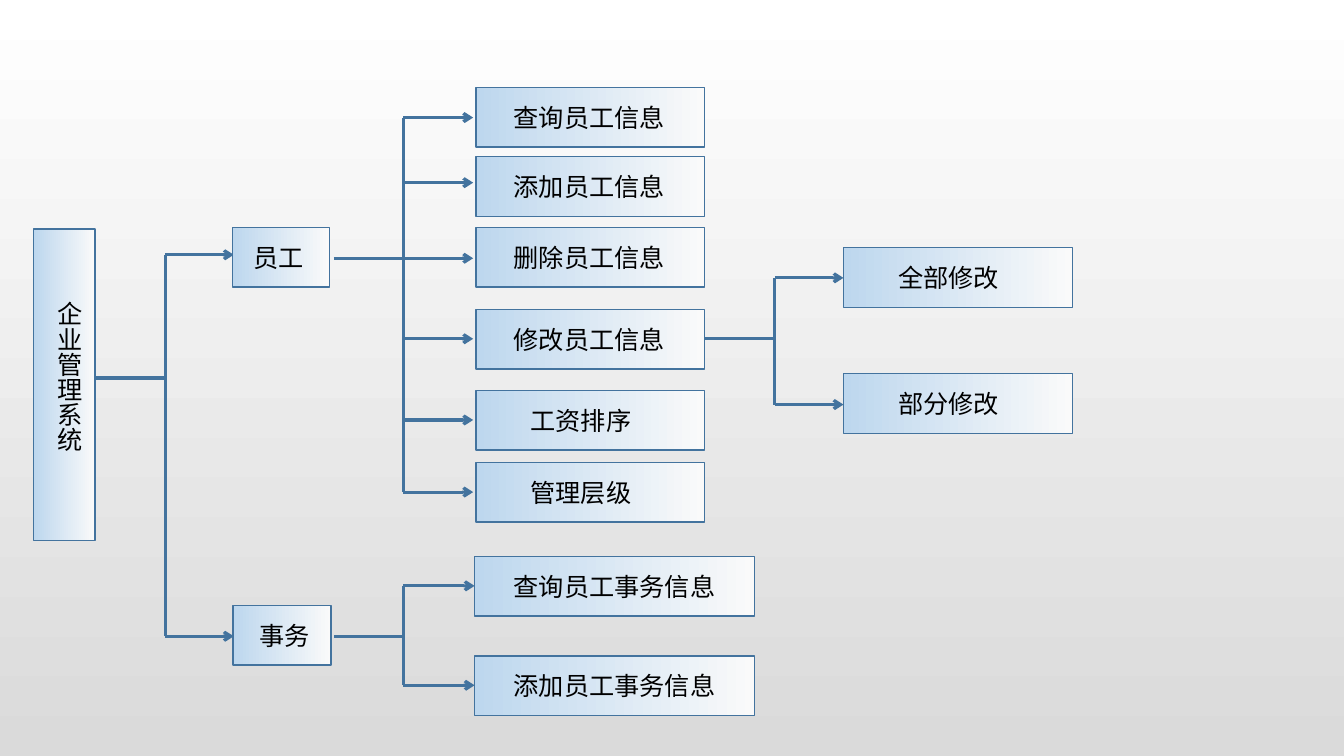
"""Draw the function tree of a staff management system."""
from lxml import etree
from pptx import Presentation
from pptx.dml.color import RGBColor
from pptx.enum.shapes import MSO_CONNECTOR, MSO_SHAPE
from pptx.enum.text import MSO_ANCHOR, PP_ALIGN
from pptx.oxml.ns import qn
from pptx.util import Pt

RECT = MSO_SHAPE.RECTANGLE
STRAIGHT = MSO_CONNECTOR.STRAIGHT
MIDDLE = MSO_ANCHOR.MIDDLE
LEFT = PP_ALIGN.LEFT

WHITE = RGBColor(0xFF, 0xFF, 0xFF)
GREY = RGBColor(0xDA, 0xDA, 0xDA)
BLACK = RGBColor(0, 0, 0)
SKY = RGBColor(0xBD, 0xD7, 0xEE)
PALE = RGBColor(0xFA, 0xFA, 0xFA)
STEEL = RGBColor(0x43, 0x73, 0x9E)

BOX_H = 42.5
LEAF_W = 163.5


class Tree:
    """Hold the style and the current slide."""

    font = "Arial"
    size = 18

    def __init__(self, slide):
        self.slide = slide

    def blend(self, fill, first, last, angle):
        fill.gradient()
        fill.gradient_angle = angle
        for stop, color, place in zip(fill.gradient_stops, (first, last), (0, 1)):
            stop.color.rgb = color
            stop.position = place

    def ground(self):
        self.blend(self.slide.background.fill, WHITE, GREY, 270)

    def box(self, x, y, width, text, indent, height=BOX_H):
        shape = self.slide.shapes.add_shape(RECT, Pt(x), Pt(y), Pt(width), Pt(height))
        shape.shadow.inherit = False
        self.blend(shape.fill, SKY, PALE, 0)
        shape.line.color.rgb = STEEL
        shape.line.width = Pt(1)
        frame = shape.text_frame
        frame.word_wrap = True
        frame.vertical_anchor = MIDDLE
        frame.margin_left = Pt(indent)
        frame.margin_right = frame.margin_top = frame.margin_bottom = 0
        para = frame.paragraphs[0]
        para.alignment = LEFT
        run = para.add_run()
        run.text = text
        run.font.name = self.font
        run.font.size = Pt(self.size)
        run.font.color.rgb = BLACK
        return frame

    def tall(self, x, y, width, height, text, drop, shift):
        frame = self.box(x, y, width, text, shift, height)
        frame.margin_top = Pt(drop)
        frame._txBody.bodyPr.set("vert", "eaVert")

    def line(self, x1, y1, x2, y2, arrow=False):
        link = self.slide.shapes.add_connector(STRAIGHT, Pt(x1), Pt(y1), Pt(x2), Pt(y2))
        link.line.color.rgb = STEEL
        link.line.width = Pt(2.25)
        if arrow:
            etree.SubElement(link.line._get_or_add_ln(), qn("a:tailEnd"), type="arrow")
        etree.SubElement(link._element.spPr, qn("a:effectLst"))

    def fork(self, start, stem, trunk, end, levels):
        self.line(start, stem, trunk, stem)
        self.line(trunk, levels[0], trunk, levels[-1])
        for level in levels:
            self.line(trunk, level, end, level, arrow=True)


deck = Presentation()
deck.slide_width, deck.slide_height = Pt(960), Pt(540)
tree = Tree(deck.slides.add_slide(deck.slide_layouts[6]))
tree.ground()

tree.fork(68, 270, 118, 167, (182, 454.5))
tree.fork(238.5, 184.5, 288, 338, (84, 130.5, 184.5, 242, 300, 351.5))
tree.fork(238.5, 454.5, 288, 339, (418.5, 489.5))
tree.fork(503.5, 242, 553.5, 602.5, (198.5, 289))

tree.tall(24, 163.5, 44, 222.5, "企业管理系统", 52, 7)
tree.box(166, 162.5, 69.5, "员工", 15)
tree.box(166.5, 432.5, 70, "事务", 19)

STAFF = (
    (62.5, "查询员工信息", 27),
    (112, "添加员工信息", 27),
    (162.5, "删除员工信息", 27),
    (221, "修改员工信息", 27),
    (279, "工资排序", 39),
    (330.5, "管理层级", 39),
)
for top, text, indent in STAFF:
    tree.box(340, top, LEAF_W, text, indent)
for top, text in ((397.5, "查询员工事务信息"), (468.5, "添加员工事务信息")):
    tree.box(339, top, 200, text, 28)
for top, text in ((177, "全部修改"), (267, "部分修改")):
    tree.box(602.5, top, LEAF_W, text, 39)

deck.save("out.pptx")
